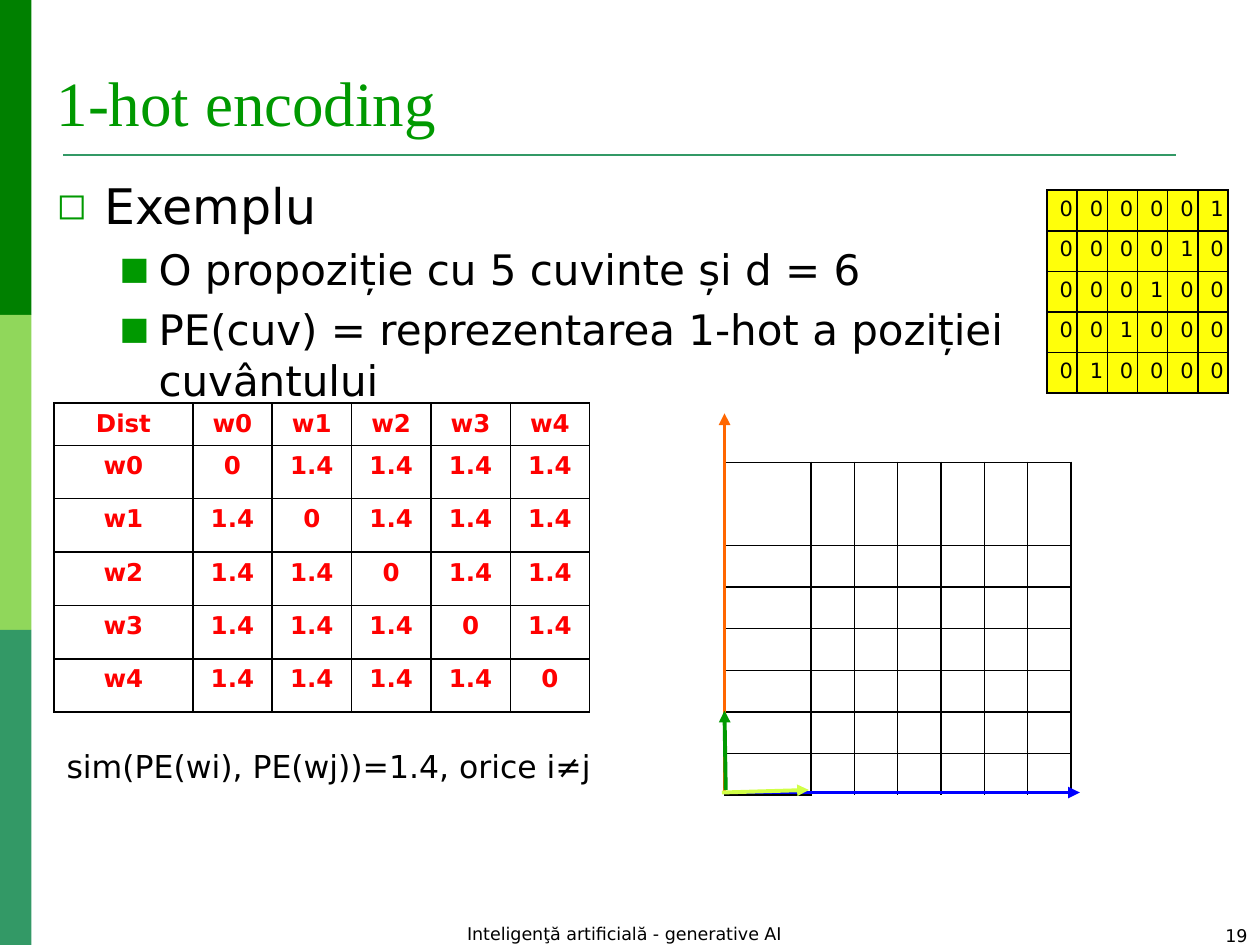
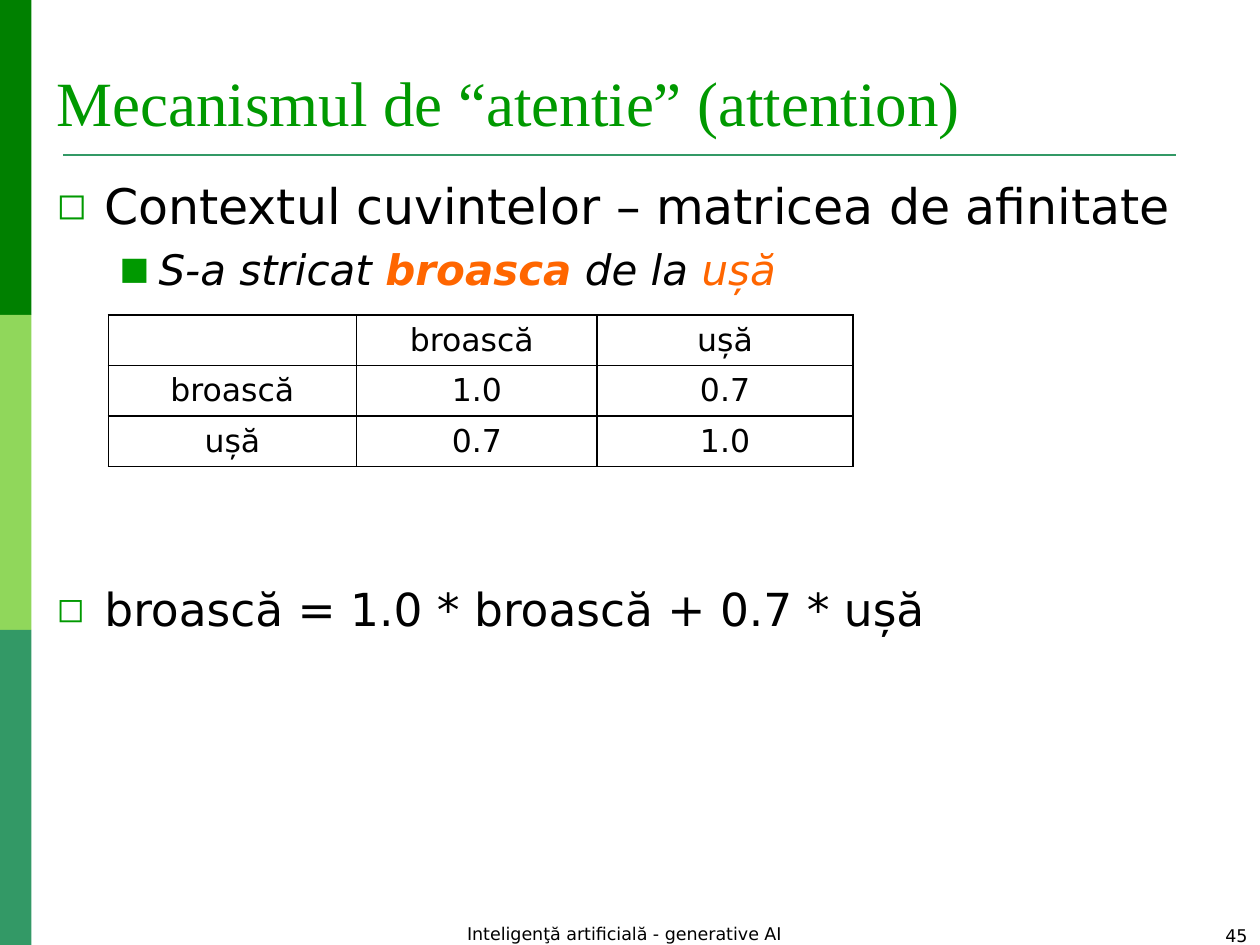
from lxml import etree
from pptx import Presentation
from pptx import util as u
from pptx.dml.color import RGBColor
from pptx.enum import shapes, text
from pptx.oxml import ns

HUES = {"dark": "008000", "lime": "90D75B", "teal": "339966", "green": "009900",
        "black": "000000", "red": "FF0000", "blue": "0000FF", "orange": "FF6600",
        "pale": "D1FF47", "yellow": "FFFF0A"}
SANS, SERIF = "DejaVu Sans", "Times New Roman"
FOOT = "Inteligenţă artificială - generative AI"
PLAIN = "{2D5ABB26-0587-4C30-8999-92F81FD0307C}"  # table style without grid
ALIGN = text.PP_ALIGN
# Per level: left edge and hanging indent (inches), bullet sign
LEVELS = [(0.38, 0.38, "◻"), (0.81, 0.31, "■")]


def tint(name):
    return RGBColor.from_string(HUES[name])


def boxed(box):
    return [u.Inches(v) for v in box]


def node(owner, tag, **attrs):
    return etree.SubElement(owner, ns.qn(tag), attrs)


# Text

def style(font, size=18, hue="black", name=SANS, **more):
    font.color.rgb = tint(hue)
    for key, val in {"size": u.Pt(size), "name": name, **more}.items():
        setattr(font, key, val)


def write(para, words, align=None, **look):
    para.alignment = align
    run = para.add_run()
    run.text = words
    style(run.font, **look)


def frame(slide, box, anchor=text.MSO_ANCHOR.TOP):
    area = slide.shapes.add_textbox(*boxed(box)).text_frame
    area.word_wrap = True
    area.vertical_anchor = anchor
    return area


def label(slide, box, words, anchor=text.MSO_ANCHOR.TOP, **look):
    write(frame(slide, box, anchor).paragraphs[0], words, **look)


def bullet(para, level):
    left, hang, sign = LEVELS[level]
    props = para._p.get_or_add_pPr()
    props.set("marL", str(u.Inches(left)))
    props.set("indent", str(-u.Inches(hang)))
    node(node(props, "a:buClr"), "a:srgbClr", val=HUES["green"])
    node(props, "a:buSzPct", val="75000")
    node(props, "a:buFont", typeface=SANS)
    node(props, "a:buChar", char=sign)


def body(slide, items):
    """Each item: level, space before in points, list of (words, look)."""
    area = frame(slide, (0.35, 1.34, 9.45, 5.9))
    for i, (level, gap, runs) in enumerate(items):
        para = area.add_paragraph() if i else area.paragraphs[0]
        para.space_before = u.Pt(gap)
        bullet(para, level)
        for words, look in runs:
            write(para, words, **look)


# Lines and tables

def line(slide, start, end, hue, width, arrow=False):
    link = slide.shapes.add_connector(shapes.MSO_CONNECTOR.STRAIGHT,
                                      *boxed(start + end))
    link.line.color.rgb = tint(hue)
    link.line.width = u.Pt(width)
    props = link._element.spPr
    if arrow:
        node(props.find(ns.qn("a:ln")), "a:tailEnd", type="triangle")
    node(props, "a:effectLst")


def edge(cell, sides):
    props = cell._tc.get_or_add_tcPr()
    for side in "LRTB":
        if side in sides:
            rule = node(props, "a:ln" + side, w=str(u.Pt(1)))
            node(node(rule, "a:solidFill"), "a:srgbClr", val=HUES["black"])


def table(slide, box, rows, cols):
    """Add a bare table; rows and cols are sizes in inches."""
    grid = slide.shapes.add_table(len(rows), len(cols), *boxed(box)).table
    grid.first_row = grid.horz_banding = False
    grid._tbl.tblPr.find(ns.qn("a:tableStyleId")).text = PLAIN
    for row, size in zip(grid.rows, rows):
        row.height = u.Inches(size)
    for col, size in zip(grid.columns, cols):
        col.width = u.Inches(size)
    return grid


def matrix(slide, box, data, first, cols, fill=None,
           anchor=text.MSO_ANCHOR.TOP, **look):
    """Fill a ruled table; first is the height of its top row."""
    rest = len(data) - 1
    rows = [first] + [(box[3] - first) / rest] * rest
    grid = table(slide, box, rows, cols)
    for r, row in enumerate(data):
        for c, words in enumerate(row):
            cell = grid.cell(r, c)
            edge(cell, "LRTB")
            cell.vertical_anchor = anchor
            if fill:
                cell.fill.solid()
                cell.fill.fore_color.rgb = tint(fill)
            else:
                cell.fill.background()
            if words:
                write(cell.text_frame.paragraphs[0], words, **look)


# Shared slide parts

def base(deck, title, num):
    slide = deck.slides.add_slide(deck.slide_layouts[6])
    for i, hue in enumerate(("dark", "lime", "teal")):
        band = slide.shapes.add_shape(shapes.MSO_SHAPE.RECTANGLE,
                                      *boxed((0, 2.5 * i, 0.25, 2.5)))
        band.shadow.inherit = False
        band.fill.solid()
        band.fill.fore_color.rgb = tint(hue)
        band.line.fill.background()
    line(slide, (0.5, 1.23), (9.33, 1.23), "teal", 1.5)
    label(slide, (0.35, 0.13, 9.45, 1.02), title, text.MSO_ANCHOR.BOTTOM,
          size=36, hue="green", name=SERIF)
    label(slide, (1.53, 7.28, 6.85, 0.27), FOOT, align=ALIGN.CENTER, size=10)
    label(slide, (7.67, 7.29, 2.33, 0.21), str(num), align=ALIGN.RIGHT, size=10)
    return slide


# Slide regions

def codes(slide, box):
    """One-hot rows, with the 1 moving left."""
    data = [["1" if c == 5 - r else "0" for c in range(6)] for r in range(5)]
    matrix(slide, box, data, box[3] / 5, [box[2] / 6] * 6, "yellow", size=12)


def gaps(slide, box):
    """Distances between all pairs of words."""
    names = [f"w{i}" for i in range(5)]
    data = [["Dist"] + names]
    for a in names:
        data.append([a] + ["0" if a == b else "1.4" for b in names])
    lead = 1.1
    matrix(slide, box, data, 0.33, [lead] + [(box[2] - lead) / 5] * 5,
           align=ALIGN.CENTER, size=14, hue="red", bold=True)


def plot(slide, box):
    """Square grid ruled at every second cell, with axes and unit vectors."""
    x, y, wide, high = box
    size = 8
    grid = table(slide, box, [high / size] * size, [wide / size] * size)
    for r in range(size):
        for c in range(size):
            cell = grid.cell(r, c)
            ruled = r < size - 1 or c < 2
            edge(cell, ("R" if c % 2 else "L") +
                 ("T" if r % 2 == 0 else "B" if ruled else ""))
            cell.fill.background()
            for side in ("left", "right", "top", "bottom"):
                setattr(cell, "margin_" + side, 0)
    foot = y + high - 0.02
    for start, end, hue in (
            ((x, foot), (x + wide + 0.07, foot), "blue"),
            ((x, foot), (x, y - 0.39), "orange"),
            ((x - 0.02, foot), (x + 0.67, foot - 0.02), "pale"),
            ((x + 0.01, foot - 0.02), (x, foot - 0.65), "green")):
        line(slide, start, end, hue, 2.25, arrow=True)


def onehot(deck):
    slide = base(deck, "1-hot encoding", 19)
    sub = {"size": 24}
    body(slide, [
        (0, 0, [("Exemplu", {"size": 28})]),
        (1, 5.6, [("O propoziție cu 5 cuvinte și d = 6", sub)]),
        (1, 5.6, [("PE(cuv) = reprezentarea 1-hot a poziției cuvântului", sub)])])
    codes(slide, (8.31, 1.51, 1.43, 1.61))
    gaps(slide, (0.43, 3.2, 4.25, 2.45))
    plot(slide, (5.75, 3.67, 2.75, 2.64))
    label(slide, (0.43, 5.88, 4.88, 0.4), "sim(PE(wi), PE(wj))=1.4, orice i≠j")


def focus(deck):
    slide = base(deck, "Mecanismul de “atentie” (attention)", 45)
    sub = {"size": 24, "italic": True}
    key = {**sub, "hue": "orange"}
    body(slide, [
        (0, 0, [("Contextul cuvintelor – matricea de afinitate", {"size": 28})]),
        (1, 5.6, [("S-a stricat ", sub), ("broasca", {**key, "bold": True}),
                  (" de la ", sub), ("ușă", key)]),
        (0, 164, [("broască = 1.0 * broască + 0.7 * ușă", {"size": 26})])])
    data = [["", "broască ", "ușă"],
            ["broască", "1.0", "0.7"],
            ["ușă", "0.7", "1.0"]]
    matrix(slide, (0.86, 2.5, 5.91, 1.17), data, 0.39, [1.97, 1.91, 2.03],
           anchor=text.MSO_ANCHOR.MIDDLE, align=ALIGN.CENTER)


def main():
    deck = Presentation()
    deck.slide_width, deck.slide_height = u.Inches(10), u.Inches(7.5)
    onehot(deck)
    focus(deck)
    deck.save("out.pptx")


if __name__ == "__main__":
    main()
